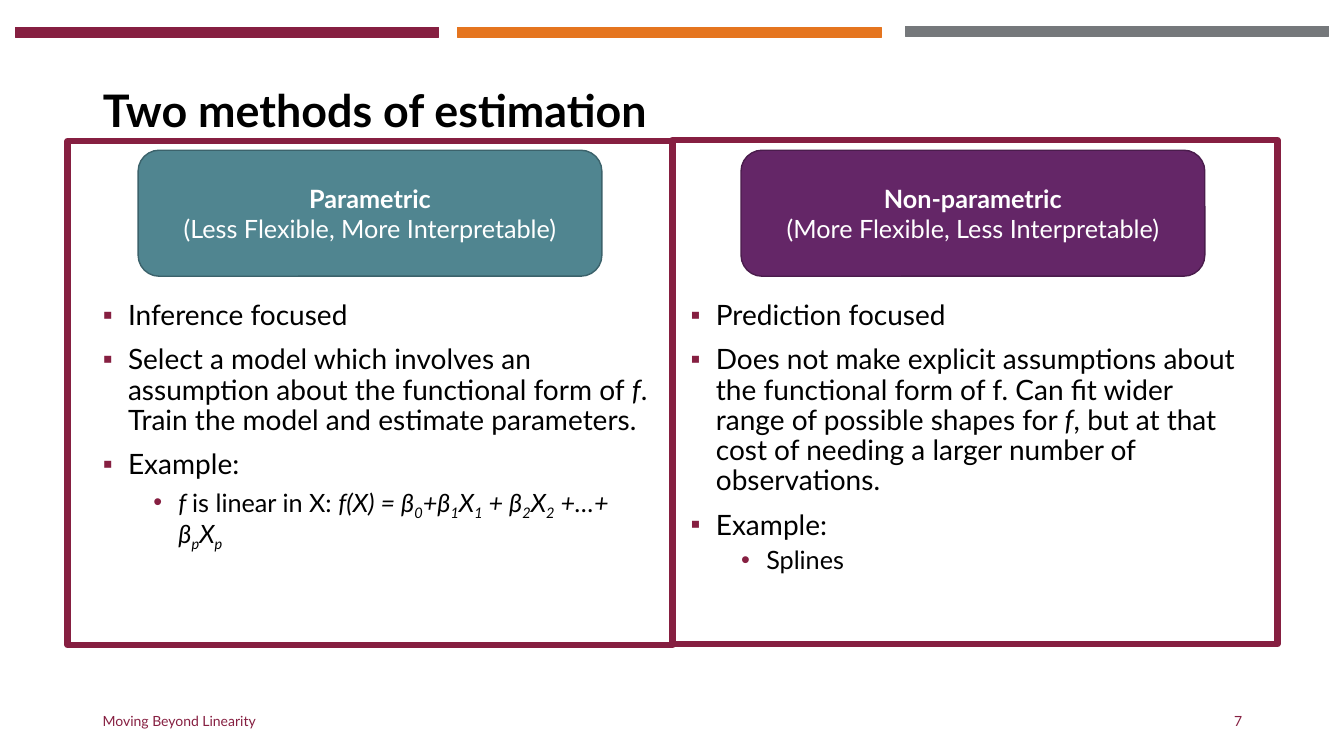
import pptx
import pptx.dml.color
import pptx.enum.shapes
import pptx.enum.text
import pptx.oxml
import pptx.oxml.ns
import pptx.util

Inches, Pt = pptx.util.Inches, pptx.util.Pt
RGBColor = pptx.dml.color.RGBColor
SHAPE = pptx.enum.shapes.MSO_SHAPE
ALIGN = pptx.enum.text.PP_ALIGN
MIDDLE = pptx.enum.text.MSO_ANCHOR.MIDDLE
TOP = pptx.enum.text.MSO_ANCHOR.TOP

FONT = "Lato"
MAROON = RGBColor(0x86, 0x1F, 0x41)
ORANGE = RGBColor(0xE5, 0x75, 0x1F)
GRAY = RGBColor(0x75, 0x78, 0x7B)
TEAL, TEAL_EDGE = RGBColor(0x50, 0x85, 0x90), RGBColor(0x3B, 0x62, 0x6B)
PURPLE, PURPLE_EDGE = RGBColor(0x64, 0x26, 0x67), RGBColor(0x4A, 0x1C, 0x4C)
BLACK, WHITE = RGBColor(0, 0, 0), RGBColor(0xFF, 0xFF, 0xFF)

TITLE = "Two methods of estimation"
FOOTER, PAGE = "Moving Beyond Linearity", "7"

# In the points, * switches italics and _ lowers the next character.
METHODS = [
    {
        "name": "Parametric",
        "traits": "(Less Flexible, More Interpretable)",
        "fill": TEAL, "edge": TEAL_EDGE,
        "points": [
            (0, "Inference focused"),
            (0, "Select a model which involves an assumption about the functional "
                "form of *f*. Train the model and estimate parameters."),
            (0, "Example:"),
            (1, "*f *is linear in X: *f(X) = β_0+β_1X_1 + β_2X_2 +…+ β_pX_p"),
        ],
        "header_left": 1.37, "points_left": 0.92, "frame": (0.67, 1.4),
    },
    {
        "name": "Non-parametric",
        "traits": "(More Flexible, Less Interpretable)",
        "fill": PURPLE, "edge": PURPLE_EDGE,
        "points": [
            (0, "Prediction focused"),
            (0, "Does not make explicit assumptions about the functional form of f. "
                "Can fit wider range of possible shapes for *f*, but at that cost of "
                "needing a larger number of observations."),
            (0, "Example:"),
            (1, "Splines"),
        ],
        "header_left": 7.35, "points_left": 6.75, "frame": (6.67, 1.39),
    },
]
BARS = [(0.15, 0.27, MAROON), (8.98, 0.26, GRAY), (4.54, 0.27, ORANGE)]
# Per level: bullet, indent in inches, text size, space before
LEVELS = [("▪", 0.25, 20, 10), ("•", 0.75, 18, 5)]


def place(shape, left, top, width, height):
    shape.left, shape.top = Inches(left), Inches(top)
    shape.width, shape.height = Inches(width), Inches(height)


def style(paragraph, size, color, bold=False):
    font = paragraph.font
    font.name, font.size, font.bold = FONT, Pt(size), bold
    font.color.rgb = color


def add_box(slide, kind, left, top, width, height, fill=None, edge=None, weight=1):
    box = slide.shapes.add_shape(
        kind, Inches(left), Inches(top), Inches(width), Inches(height))
    box.shadow.inherit = False
    if fill is None:
        box.fill.background()
    else:
        box.fill.solid()
        box.fill.fore_color.rgb = fill
    if edge is None:
        box.line.fill.background()
    else:
        box.line.color.rgb = edge
        box.line.width = Pt(weight)
    return box


def add_bullet(paragraph, bullet, indent):
    properties = paragraph._p.get_or_add_pPr()
    properties.set("marL", str(Inches(indent)))
    properties.set("indent", str(Inches(-0.25)))
    namespace = pptx.oxml.ns.nsdecls("a")
    for xml in (
        f'<a:buClr {namespace}><a:srgbClr val="{MAROON}"/></a:buClr>',
        f'<a:buFont {namespace} typeface="Arial"/>',
        f'<a:buChar {namespace} char="{bullet}"/>',
    ):
        properties.append(pptx.oxml.parse_xml(xml))


def add_marked_runs(paragraph, marked):
    for i, part in enumerate(marked.split("*")):
        for j, piece in enumerate(part.split("_")):
            lowered = piece[:1] if j else ""
            for text, is_lowered in ((lowered, True), (piece[len(lowered):], False)):
                if not text:
                    continue
                run = paragraph.add_run()
                run.text = text
                if i % 2:
                    run.font.italic = True
                if is_lowered:
                    run.font._element.set("baseline", "-25000")


def fill_points(body, points):
    frame = body.text_frame
    frame.auto_size = pptx.enum.text.MSO_AUTO_SIZE.NONE
    frame.vertical_anchor = TOP
    for i, (level, marked) in enumerate(points):
        bullet, indent, size, before = LEVELS[level]
        point = frame.add_paragraph() if i else frame.paragraphs[0]
        point.level = level
        point.line_spacing = 0.9
        point.space_before = Pt(before if i else 0)
        add_bullet(point, bullet, indent)
        style(point, size, BLACK)
        add_marked_runs(point, marked)


def add_footer(slide, text, left, width, align):
    box = slide.shapes.add_textbox(
        Inches(left), Inches(6.95), Inches(width), Inches(0.4))
    box.text_frame.word_wrap = True
    box.text_frame.vertical_anchor = MIDDLE
    line = box.text_frame.paragraphs[0]
    line.text, line.alignment = text, align
    style(line, 10, MAROON)


def add_header(slide, method):
    header = add_box(slide, SHAPE.ROUNDED_RECTANGLE, method["header_left"], 1.49,
                     4.6, 1.25, method["fill"], method["edge"])
    frame = header.text_frame
    frame.vertical_anchor = MIDDLE
    frame.text = method["name"] + "\n" + method["traits"]
    for line, bold in zip(frame.paragraphs, (True, False)):
        line.alignment = ALIGN.CENTER
        style(line, 18, WHITE, bold)


def main():
    deck = pptx.Presentation()
    deck.slide_width, deck.slide_height = Inches(13.33), Inches(7.5)
    slide = deck.slides.add_slide(deck.slide_layouts[3])

    for left, top, color in BARS:
        add_box(slide, SHAPE.RECTANGLE, left, top, 4.2, 0.1, color, color, 0.75)

    title = slide.shapes.title
    place(title, 0.92, 0.4, 11.5, 1.45)
    title.text_frame.text = TITLE
    title.text_frame.vertical_anchor = MIDDLE
    heading = title.text_frame.paragraphs[0]
    heading.alignment, heading.line_spacing = ALIGN.LEFT, 0.9
    style(heading, 32, BLACK, True)

    for body, method in zip(list(slide.placeholders)[1:], METHODS):
        place(body, method["points_left"], 2.94, 5.67, 3.82)
        fill_points(body, method["points"])
        add_header(slide, method)
        add_box(slide, SHAPE.RECTANGLE, *method["frame"], 6, 5,
                edge=MAROON, weight=4.5)

    add_footer(slide, FOOTER, 0.92, 4.5, ALIGN.LEFT)
    add_footer(slide, PAGE, 9.42, 3, ALIGN.RIGHT)
    deck.save("out.pptx")


if __name__ == "__main__":
    main()
